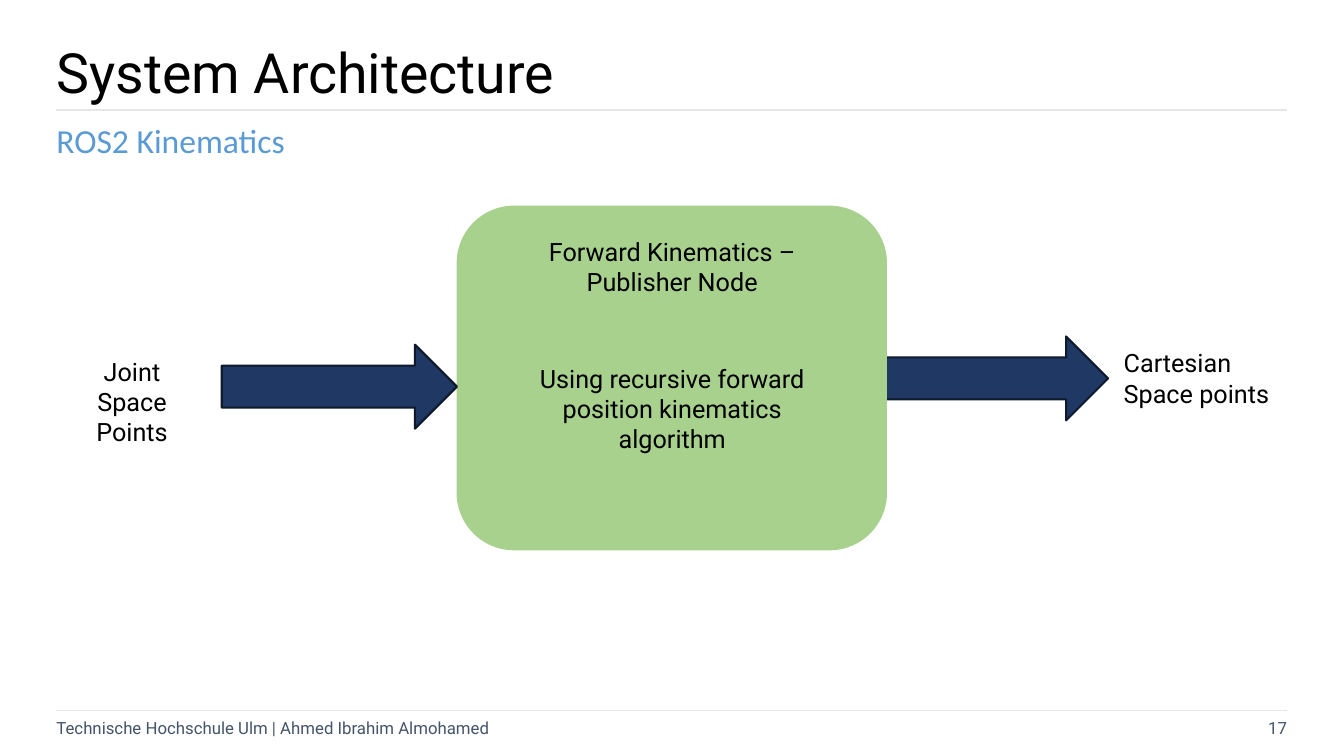
from pptx import Presentation
from pptx.dml.color import RGBColor
from pptx.enum.shapes import MSO_CONNECTOR as Connector, MSO_SHAPE as Shape
from pptx.enum.text import MSO_ANCHOR as Anchor, PP_ALIGN as Align
from pptx.oxml.ns import qn
from pptx.util import Pt
from lxml.etree import SubElement

BLACK = RGBColor(0x00, 0x00, 0x00)
SLATE = RGBColor(0x44, 0x54, 0x6A)
SKY = RGBColor(0x5B, 0x9B, 0xD5)
RULE_GREY = RGBColor(0xE7, 0xE6, 0xE6)
NAVY = RGBColor(0x1F, 0x38, 0x64)
NAVY_EDGE = RGBColor(0x0E, 0x19, 0x2C)
GREEN = RGBColor(0xA9, 0xD1, 0x8E)

LEFT, RIGHT = 40.3, 919.4
FOOTER_TOP, FOOTER_HEIGHT = 514.1, 12.2
HEADING_INSETS = (0, 3.6, 7.2, 3.6)
NO_INSETS = (0, 0, 0, 0)
LABEL_INSETS = (7.2, 3.6, 7.2, 3.6)


class SlideBuilder:
    font = "Roboto"
    label_size = 18

    def __init__(self, slide):
        self.slide = slide
        self.shapes = slide.shapes

    def open_group(self):
        self.shapes = self.slide.shapes.add_group_shape().shapes

    def close_group(self):
        self.shapes = self.slide.shapes

    def rule(self, y):
        line = self.shapes.add_connector(
            Connector.STRAIGHT, Pt(LEFT), Pt(y), Pt(RIGHT), Pt(y))
        line.line.color.rgb = RULE_GREY
        line.line.width = Pt(1)
        SubElement(line._element.spPr, qn("a:effectLst"))

    def block(self, kind, left, top, width, height, fill, edge=None):
        block = self.shapes.add_shape(
            kind, Pt(left), Pt(top), Pt(width), Pt(height))
        block.shadow.inherit = False
        block.fill.solid()
        block.fill.fore_color.rgb = fill
        if edge is None:
            block.line.fill.background()
        else:
            block.line.color.rgb = edge
            block.line.width = Pt(1.5)

    def arrow(self, left, top):
        self.block(Shape.RIGHT_ARROW, left, top, 168, 60, NAVY, NAVY_EDGE)

    def text(self, words, left, top, width, height, size=label_size,
             color=BLACK, font=font, align=Align.LEFT, anchor=Anchor.MIDDLE,
             insets=NO_INSETS, spacing=1.0):
        box = self.shapes.add_textbox(Pt(left), Pt(top), Pt(width), Pt(height))
        frame = box.text_frame
        frame.word_wrap = True
        frame.vertical_anchor = anchor
        (frame.margin_left, frame.margin_top,
         frame.margin_right, frame.margin_bottom) = map(Pt, insets)
        paragraph = frame.paragraphs[0]
        paragraph.alignment = align
        paragraph.line_spacing = spacing
        run = paragraph.add_run()
        run.text = words
        run.font.name = font
        run.font.size = Pt(size)
        run.font.color.rgb = color

    def label(self, words, left, top, width, height, align=Align.CENTER):
        self.text(words, left, top, width, height, align=align,
                  anchor=Anchor.TOP, insets=LABEL_INSETS)


def main():
    deck = Presentation()
    deck.slide_width, deck.slide_height = Pt(960), Pt(540)
    page = SlideBuilder(deck.slides.add_slide(deck.slide_layouts[6]))

    for y in (78.5, 507.6):
        page.rule(y)
    page.text("17", 838.1, FOOTER_TOP, 81.3, FOOTER_HEIGHT, size=12,
              color=SLATE, align=Align.RIGHT)
    page.arrow(623.5, 240.3)
    page.text("System Architecture", LEFT, 34.6, 799.2, 38.9, size=39.6,
              insets=HEADING_INSETS, spacing=0.9)
    page.text("ROS2 Kinematics", LEFT, 79.2, 878.4, 45.4, size=24, color=SKY,
              font="Calibri", insets=HEADING_INSETS, spacing=0.9)
    page.text("Technische Hochschule Ulm | Ahmed Ibrahim Almohamed",
              LEFT, FOOTER_TOP, 758.9, FOOTER_HEIGHT, size=12, color=SLATE)

    page.open_group()
    page.block(Shape.ROUNDED_RECTANGLE, 326.2, 146.9, 307.4, 246.2, GREEN)
    page.label("Forward Kinematics – Publisher Node", 379.4, 164.9, 201.6, 51.1)
    page.label("Using recursive forward position kinematics algorithm",
               364.3, 255.6, 231.8, 72.7)
    page.close_group()

    page.arrow(158.4, 246.2)
    page.label("Joint Space Points", LEFT, 250.6, 108, 51.1)
    page.label("Cartesian Space points", 795.6, 244.8, 120.2, 51.1, Align.LEFT)

    deck.save("out.pptx")


if __name__ == "__main__":
    main()
